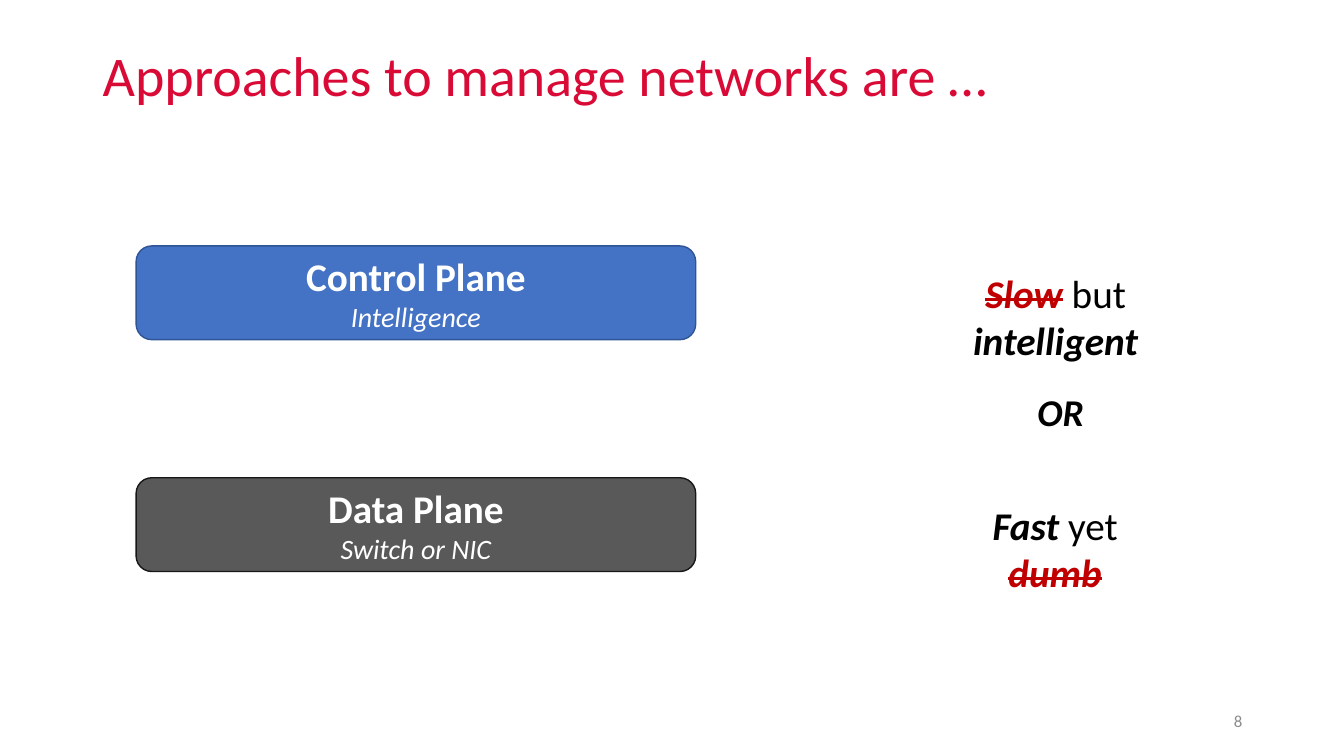
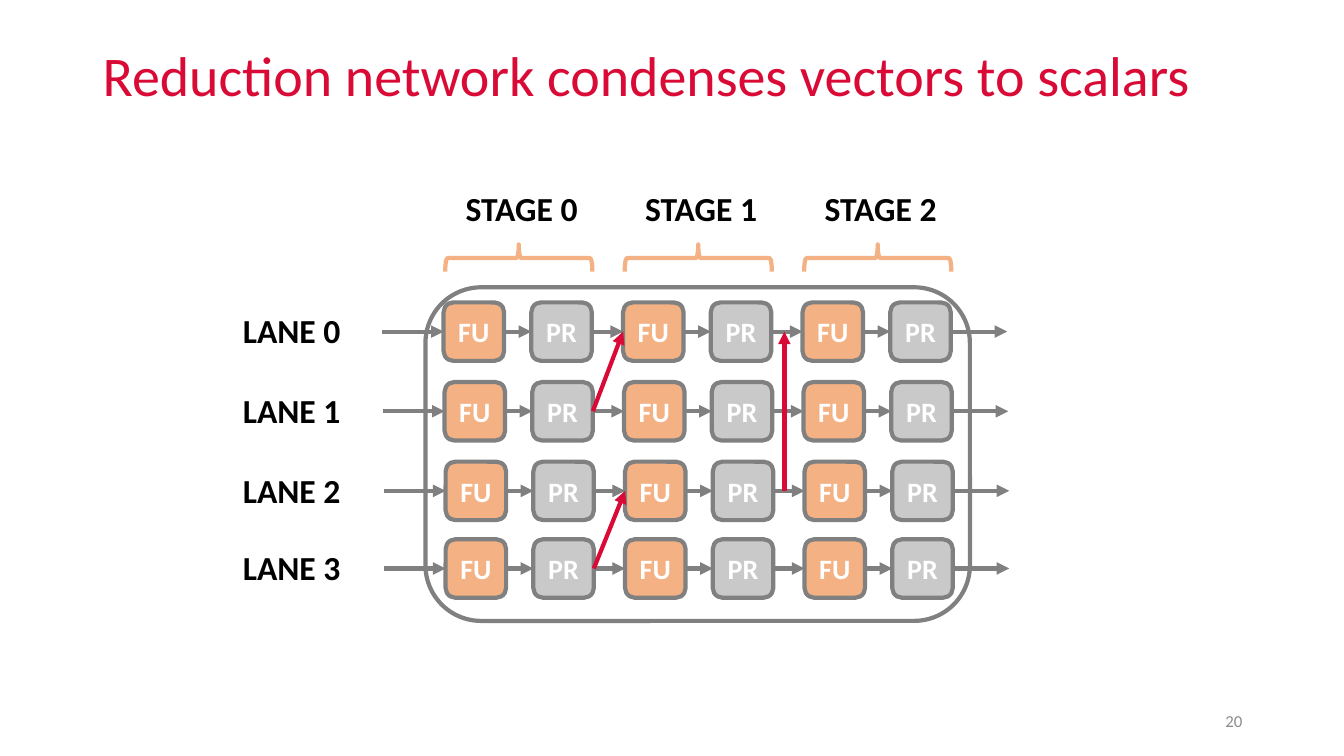
from dataclasses import dataclass, field
from typing import Any

import lxml.etree
import pptx
import pptx.dml.color
import pptx.enum.shapes
import pptx.enum.text
import pptx.oxml.ns
import pptx.util

Inches = pptx.util.Inches
RGBColor = pptx.dml.color.RGBColor
Shape = pptx.enum.shapes.MSO_SHAPE
Align = pptx.enum.text.PP_ALIGN
Anchor = pptx.enum.text.MSO_ANCHOR

# Shared look
FONT = "Calibri"
CRIMSON = RGBColor(0xD9, 0x0B, 0x36)
DARK_RED = RGBColor(0xC0, 0x00, 0x00)
BLACK = RGBColor(0x00, 0x00, 0x00)
WHITE = RGBColor(0xFF, 0xFF, 0xFF)
BLUE = RGBColor(0x44, 0x72, 0xC4)
NAVY = RGBColor(0x2F, 0x55, 0x97)
CHARCOAL = RGBColor(0x59, 0x59, 0x59)
NEAR_BLACK = RGBColor(0x18, 0x17, 0x17)
ORANGE = RGBColor(0xF4, 0xB1, 0x83)
SILVER = RGBColor(0xC9, 0xC9, 0xC9)
GRAY = RGBColor(0x80, 0x80, 0x80)
PAGE_GRAY = RGBColor(0x8C, 0x8C, 0x8C)


@dataclass
class Area:
    left: float
    top: float
    width: float
    height: float

    def lengths(self) -> list[int]:
        return [Inches(n) for n in (self.left, self.top, self.width, self.height)]


@dataclass
class Span:
    text: str
    size: float
    color: RGBColor = BLACK
    format: dict[str, Any] = field(default_factory=dict)
    strike: bool = False


@dataclass
class Plane:
    top: float
    name: str
    role: str
    fill: RGBColor
    edge: RGBColor


@dataclass
class Verdict:
    area: Area
    lines: list[list[Span]]


BOLD = {"bold": True}
ITALIC = {"italic": True}
STRONG = {"bold": True, "italic": True}


# Drawing helpers
def write(frame: Any, lines: list[list[Span]], align: Any, anchor: Any,
          wrap: bool = True, spacing: float = 1.0) -> None:
    frame.word_wrap = wrap
    frame.vertical_anchor = anchor
    for index, spans in enumerate(lines):
        para = frame.add_paragraph() if index else frame.paragraphs[0]
        para.alignment = align
        para.line_spacing = spacing
        for item in spans:
            span = para.add_run()
            span.text = item.text
            values = {"name": FONT, "size": pptx.util.Pt(item.size), **item.format}
            for name, value in values.items():
                setattr(span.font, name, value)
            span.font.color.rgb = item.color
            if item.strike:
                span._r.get_or_add_rPr().set("strike", "sngStrike")


def add_text(page: Any, area: Area, lines: list[list[Span]], align: Any = Align.LEFT,
             anchor: Any = Anchor.TOP, wrap: bool = True, spacing: float = 1.0) -> None:
    box = page.shapes.add_textbox(*area.lengths())
    write(box.text_frame, lines, align, anchor, wrap, spacing)


def add_box(page: Any, kind: Any, area: Area, fill: RGBColor | None, edge: RGBColor,
            weight: float) -> Any:
    box = page.shapes.add_shape(kind, *area.lengths())
    box.shadow.inherit = False
    if fill is None:
        box.fill.background()
    else:
        box.fill.solid()
        box.fill.fore_color.rgb = fill
    box.line.color.rgb = edge
    box.line.width = pptx.util.Pt(weight)
    return box


def add_arrow(page: Any, start: tuple[float, float], end: tuple[float, float],
              color: RGBColor = GRAY) -> None:
    arrow = page.shapes.add_connector(
        pptx.enum.shapes.MSO_CONNECTOR.STRAIGHT, *[Inches(n) for n in (*start, *end)])
    arrow.line.color.rgb = color
    arrow.line.width = pptx.util.Pt(3)
    qn = pptx.oxml.ns.qn
    lxml.etree.SubElement(arrow.line._get_or_add_ln(), qn("a:tailEnd"), type="triangle")
    lxml.etree.SubElement(arrow._element.spPr, qn("a:effectLst"))


def add_page(deck: Any, title: str, number: int) -> Any:
    page = deck.slides.add_slide(deck.slide_layouts[6])
    add_text(page, Area(0.92, 0.4, 11.5, 0.75), [[Span(title, 40, CRIMSON)]],
             anchor=Anchor.MIDDLE, spacing=0.9)
    add_text(page, Area(9.42, 6.95, 3, 0.4), [[Span(str(number), 12, PAGE_GRAY)]],
             Align.RIGHT, Anchor.MIDDLE)
    return page


# Slide: control plane against data plane
PLANES = [
    Plane(2.44, "Control Plane", "Intelligence", BLUE, NAVY),
    Plane(4.74, "Data Plane", "Switch or NIC", CHARCOAL, NEAR_BLACK),
]
VERDICTS = [
    Verdict(Area(8.86, 2.62, 3.22, 1.04), [
        [Span("Slow", 28, DARK_RED, STRONG, strike=True), Span(" but", 28)],
        [Span("intelligent", 28, BLACK, STRONG)]]),
    Verdict(Area(9.25, 4.92, 2.43, 1.04), [
        [Span("Fast", 28, BLACK, STRONG), Span(" yet", 28)],
        [Span("dumb", 28, DARK_RED, STRONG, strike=True)]]),
]


def build_planes(deck: Any) -> None:
    page = add_page(deck, "Approaches to manage networks are …", 8)
    for plane in PLANES:
        box = add_box(page, Shape.ROUNDED_RECTANGLE, Area(1.35, plane.top, 5.55, 0.93),
                      plane.fill, plane.edge, 1)
        write(box.text_frame, [[Span(plane.name, 28, WHITE, BOLD)],
                               [Span(plane.role, 20, WHITE, ITALIC)]],
              Align.CENTER, Anchor.MIDDLE)
    for verdict in VERDICTS:
        add_text(page, verdict.area, verdict.lines, Align.CENTER)
    add_text(page, Area(10.19, 3.81, 0.67, 0.56), [[Span("OR", 27, BLACK, STRONG)]],
             wrap=False)


# Slide: reduction network grid
STAGES = 3
STAGE_PITCH = 1.78
LANE_TOPS = [3.0, 3.79, 4.58, 5.35]
CELL_WIDTH, CELL_HEIGHT = 0.6, 0.58
CELL_STEP = 0.87
UNITS = [("FU", ORANGE), ("PR", SILVER)]


def cell_left(lane: int, stage: int, unit: int = 0) -> float:
    return 4.4 + 0.01 * min(lane, 2) + STAGE_PITCH * stage + CELL_STEP * unit


def lane_middle(lane: int) -> float:
    return LANE_TOPS[lane] + CELL_HEIGHT / 2


def add_lane(page: Any, lane: int) -> None:
    top, middle = LANE_TOPS[lane], lane_middle(lane)
    add_text(page, Area(2.31, top + 0.03, 1.18, 0.5),
             [[Span(f"LANE {lane}", 24, BLACK, BOLD)]], wrap=False)
    exit_x = cell_left(lane, 0) - 0.61
    for stage in range(STAGES):
        for unit, (name, fill) in enumerate(UNITS):
            left = cell_left(lane, stage, unit)
            box = add_box(page, Shape.ROUNDED_RECTANGLE,
                          Area(left, top, CELL_WIDTH, CELL_HEIGHT), fill, GRAY, 3)
            write(box.text_frame, [[Span(name, 20, WHITE, BOLD)]],
                  Align.CENTER, Anchor.MIDDLE, wrap=False)
            add_arrow(page, (exit_x, middle), (left, middle))
            exit_x = left + CELL_WIDTH
    add_arrow(page, (exit_x, middle), (exit_x + 0.56, middle))


def build_reduction(deck: Any) -> None:
    page = add_page(deck, "Reduction network condenses vectors to scalars", 20)
    # Stage headings with braces turned to point up
    for stage in range(STAGES):
        shift = STAGE_PITCH * stage
        brace = add_box(page, Shape.LEFT_BRACE, Area(5.01 + shift, 1.83, 0.27, 1.46),
                        None, ORANGE, 3)
        brace.rotation = 90
        add_text(page, Area(4.52 + shift, 1.82, 1.32, 0.5),
                 [[Span(f"STAGE {stage}", 24, BLACK, BOLD)]], wrap=False)
    # Frame and lanes
    add_box(page, Shape.ROUNDED_RECTANGLE, Area(4.22, 2.85, 5.4, 3.31), WHITE, GRAY, 3)
    for lane in range(len(LANE_TOPS)):
        add_lane(page, lane)
    # Reductions across lanes
    for lane in (1, 3):
        add_arrow(page, (cell_left(lane, 0, 1) + CELL_WIDTH, lane_middle(lane)),
                  (cell_left(lane - 1, 1), lane_middle(lane - 1)), CRIMSON)
    add_arrow(page, (7.78, lane_middle(2)), (7.78, lane_middle(0)), CRIMSON)


def main() -> None:
    deck = pptx.Presentation()
    deck.slide_width, deck.slide_height = Inches(13.33), Inches(7.5)
    build_planes(deck)
    build_reduction(deck)
    deck.save("out.pptx")


if __name__ == "__main__":
    main()
